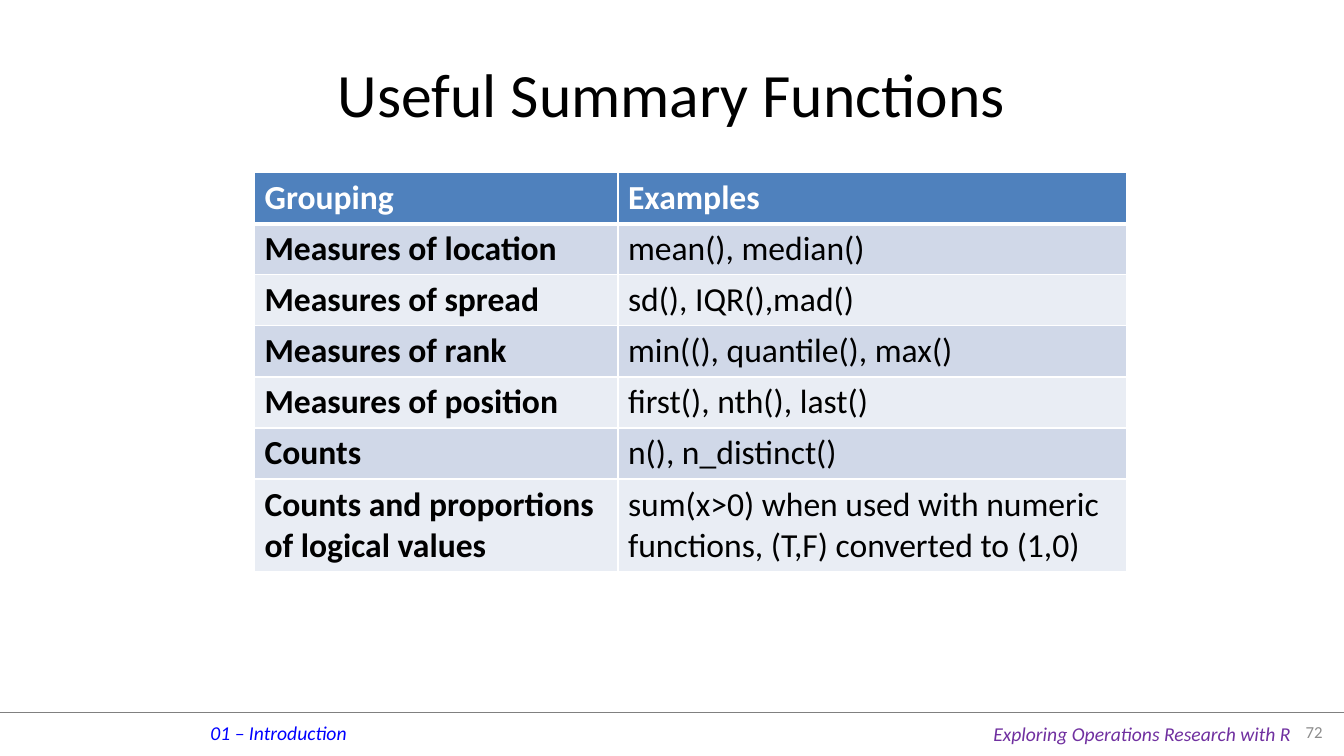
from lxml import etree
from pptx import Presentation
from pptx import util as u
from pptx.dml.color import RGBColor
from pptx.enum import shapes, text
from pptx.oxml import ns

Pt = u.Pt
WHITE = RGBColor(0xFF, 0xFF, 0xFF)
BLACK = RGBColor(0, 0, 0)
HEADER_BLUE = RGBColor(0x4F, 0x81, 0xBD)
BAND_DARK = RGBColor(0xD0, 0xD8, 0xE8)
BAND_LIGHT = RGBColor(0xE9, 0xED, 0xF4)
CHAPTER_BLUE = RGBColor(0, 0, 0xFF)
BOOK_PURPLE = RGBColor(0x70, 0x30, 0xA0)
NUMBER_GRAY = RGBColor(0x8C, 0x8C, 0x8C)
RULE_GRAY = RGBColor(0x80, 0x80, 0x80)

WIDTH, HEIGHT = 960, 540
FUNCTIONS = [
    ("Grouping", "Examples"),
    ("Measures of location", "mean(), median()"),
    ("Measures of spread", "sd(), IQR(),mad()"),
    ("Measures of rank", "min((), quantile(), max()"),
    ("Measures of position", "first(), nth(), last()"),
    ("Counts", "n(), n_distinct()"),
    ("Counts and proportions of logical values",
     "sum(x>0) when used with numeric functions, (T,F) converted to (1,0)"),
]


def write(frame, words, size, color, align=text.PP_ALIGN.LEFT, **styles):
    para = frame.paragraphs[0]
    para.alignment = align
    span = para.add_run()
    span.text = words
    span.font.color.rgb = color
    for name, value in {"name": "Calibri", "size": Pt(size), **styles}.items():
        setattr(span.font, name, value)


def add_title(page, left, top, width, height):
    title = page.shapes.title
    for name, value in {"left": left, "top": top, "width": width, "height": height}.items():
        setattr(title, name, Pt(value))
    title.text_frame.vertical_anchor = text.MSO_ANCHOR.MIDDLE
    write(title.text_frame, "Useful Summary Functions", 44, BLACK, text.PP_ALIGN.CENTER)


def add_border(cell, side, weight):
    properties = cell._tc.get_or_add_tcPr()
    line = etree.SubElement(properties, ns.qn(f"a:ln{side}"), w=str(Pt(weight)))
    fill = etree.SubElement(line, ns.qn("a:solidFill"))
    etree.SubElement(fill, ns.qn("a:srgbClr"), val=str(WHITE))


def add_functions_table(page, left, top, column_widths, row_height, last_height):
    row_heights = [row_height] * (len(FUNCTIONS) - 1) + [last_height]
    table = page.shapes.add_table(
        len(FUNCTIONS), len(column_widths), Pt(left), Pt(top),
        Pt(sum(column_widths)), Pt(sum(row_heights))).table
    for column, width in zip(table.columns, column_widths):
        column.width = Pt(width)
    for row, height in zip(table.rows, row_heights):
        row.height = Pt(height)
    for row_index, entries in enumerate(FUNCTIONS):
        header = row_index == 0
        band = HEADER_BLUE if header else BAND_DARK if row_index % 2 else BAND_LIGHT
        weights = {"L": 1, "R": 1, "T": 3 if row_index == 1 else 1, "B": 3 if header else 1}
        for column_index, words in enumerate(entries):
            cell = table.cell(row_index, column_index)
            for side, weight in weights.items():
                add_border(cell, side, weight)
            cell.fill.solid()
            cell.fill.fore_color.rgb = band
            write(cell.text_frame, words, 24, WHITE if header else BLACK,
                  bold=header or column_index == 0)


def add_label(page, left, top, width, height, words, size, color, **styles):
    frame = page.shapes.add_textbox(Pt(left), Pt(top), Pt(width), Pt(height)).text_frame
    frame.word_wrap = False
    write(frame, words, size, color, **styles)
    return frame


def add_footer(page, left, top, width):
    rule = page.shapes.add_connector(
        shapes.MSO_CONNECTOR.STRAIGHT, Pt(left), Pt(top), Pt(left + width), Pt(top))
    rule.line.color.rgb = RULE_GRAY
    rule.line.width = Pt(0.25)
    etree.SubElement(rule._element.spPr, ns.qn("a:effectLst"))
    add_label(page, left + 143.3, top + 2.2, 113, 24.5,
              "01 – Introduction", 14, CHAPTER_BLUE, italic=True)
    add_label(page, left + 702.4, top + 2.9, 229, 24.5,
              "Exploring Operations Research with R", 14, BOOK_PURPLE, italic=True)
    number = add_label(page, left + 912.2, top, 39.6, 28, "72", 12, NUMBER_GRAY,
                       align=text.PP_ALIGN.RIGHT)
    number.word_wrap = True
    number.vertical_anchor = text.MSO_ANCHOR.MIDDLE


def main():
    deck = Presentation()
    deck.slide_width, deck.slide_height = Pt(WIDTH), Pt(HEIGHT)
    page = deck.slides.add_slide(deck.slide_layouts.get_by_name("Title Only"))
    add_footer(page, 0, 509, WIDTH)
    add_title(page, 48, 21.6, WIDTH - 2 * 48, 90)
    add_functions_table(page, 181.8, 123.3, [259.6, 363], 36.5, 65.8)
    deck.save("out.pptx")


if __name__ == "__main__":
    main()
